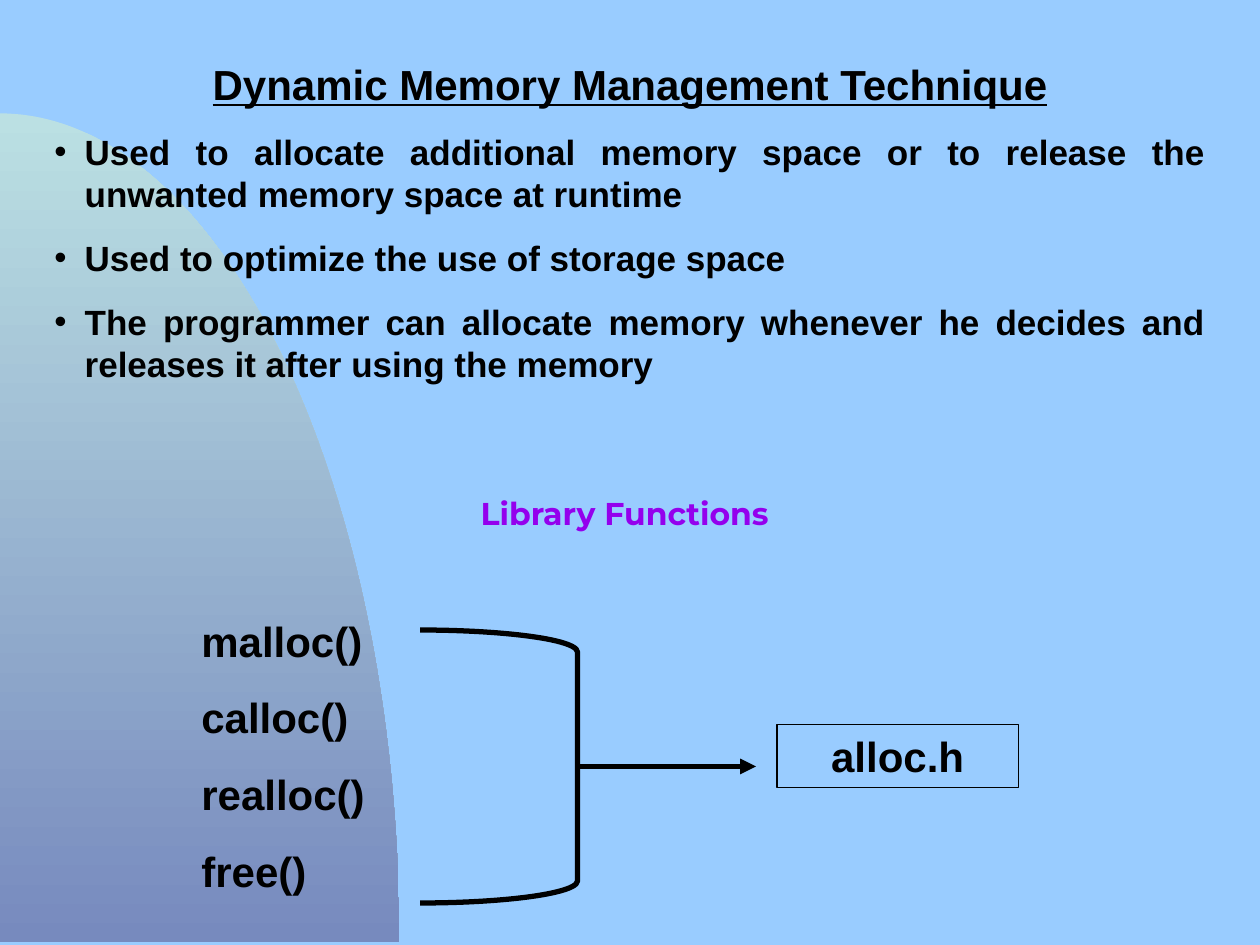
import math

from lxml import etree
from pptx import Presentation
from pptx.dml.color import RGBColor
from pptx.enum.shapes import MSO_CONNECTOR, MSO_SHAPE
from pptx.enum.text import MSO_ANCHOR, PP_ALIGN
from pptx.oxml.ns import qn
from pptx.util import Inches, Pt

WIDTH, HEIGHT = 10, 7.5
COLUMN, ROW = WIDTH / 120, HEIGHT / 90
LEFT, CENTER, JUSTIFY = PP_ALIGN.LEFT, PP_ALIGN.CENTER, PP_ALIGN.JUSTIFY
TOP = MSO_ANCHOR.TOP
RECTANGLE, BRACKET = MSO_SHAPE.RECTANGLE, MSO_SHAPE.RIGHT_BRACKET
STRAIGHT = MSO_CONNECTOR.STRAIGHT
BLACK, SKY, PURPLE = "000000", "99CCFF", "9400ED"
ARC_TOP, ARC_BOTTOM = "BBE0E3", "778ABE"
BULLET_INDENT = 0.24
LINE_HEIGHT = 1.2

USES = [
    "Used to allocate additional memory space or to release the unwanted memory space at runtime",
    "Used to optimize the use of storage space",
    "The programmer can allocate memory whenever he decides and releases it after using the memory",
]
FUNCTIONS = ["malloc()", "calloc()", "realloc()", "free()"]


def color(value):
    return RGBColor.from_string(value)


def grid(*cells):
    return [Inches(cell * (ROW if index % 2 else COLUMN)) for index, cell in enumerate(cells)]


def add_bullet(paragraph):
    properties = paragraph._p.get_or_add_pPr()
    properties.set("marL", str(Inches(BULLET_INDENT)))
    properties.set("indent", str(-Inches(BULLET_INDENT)))
    bullet_color = etree.SubElement(properties, qn("a:buClr"))
    etree.SubElement(bullet_color, qn("a:srgbClr"), val=BLACK)
    etree.SubElement(properties, qn("a:buFont"), typeface="Arial")
    etree.SubElement(properties, qn("a:buChar"), char="•")


def write(frame, text, size=24, font="Arial", fill=BLACK, align=LEFT,
          before=0, underline=False, bullet=False):
    first = frame.paragraphs[0]
    paragraph = frame.add_paragraph() if first.runs else first
    paragraph.alignment = align
    paragraph.space_before = Pt(before)
    paragraph.line_spacing = Pt(size * LINE_HEIGHT)
    if bullet:
        add_bullet(paragraph)
    run = paragraph.add_run()
    run.text = text
    run.font.name = font
    run.font.size = Pt(size)
    run.font.bold = True
    run.font.underline = underline
    run.font.color.rgb = color(fill)


def add_text_box(slide, cells):
    frame = slide.shapes.add_textbox(*grid(*cells)).text_frame
    frame.word_wrap = True
    return frame


def add_outline(slide, kind, cells, line_width):
    shape = slide.shapes.add_shape(kind, *grid(*cells))
    shape.shadow.inherit = False
    shape.fill.background()
    shape.line.color.rgb = color(BLACK)
    shape.line.width = Pt(line_width)
    return shape


def add_arrow(slide, cells, line_width):
    arrow = slide.shapes.add_connector(STRAIGHT, *grid(*cells))
    arrow.line.color.rgb = color(BLACK)
    arrow.line.width = Pt(line_width)
    etree.SubElement(arrow.line._get_or_add_ln(), qn("a:tailEnd"), type="triangle")
    etree.SubElement(arrow._element.spPr, qn("a:effectLst"))


def add_quarter_ellipse(slide, width, top, bottom, steps=90):
    angles = [math.pi / 2 * step / steps for step in range(steps + 1)]
    points = [(Inches(width * math.sin(angle)),
               Inches(bottom - (bottom - top) * math.cos(angle))) for angle in angles]
    builder = slide.shapes.build_freeform(0, Inches(bottom))
    builder.add_line_segments(points, close=True)
    shape = builder.convert_to_shape()
    shape.shadow.inherit = False
    shape.line.fill.background()
    shape.fill.gradient()
    shape.fill.gradient_angle = 270
    for stop, value in zip(shape.fill.gradient_stops, (ARC_TOP, ARC_BOTTOM)):
        stop.color.rgb = color(value)


def add_background(slide):
    slide.background.fill.solid()
    slide.background.fill.fore_color.rgb = color(SKY)
    add_quarter_ellipse(slide, 3.17, 0.9, 7.48)


def add_library_diagram(slide):
    functions = add_text_box(slide, (18, 58, 25, 28))
    for name in FUNCTIONS:
        write(functions, name, before=0 if name == FUNCTIONS[0] else 15)
    bracket = add_outline(slide, BRACKET, (40, 60, 15, 26), 3)
    bracket.adjustments[0] = 0.14
    add_arrow(slide, (55, 73, 72, 73), 3)
    header = add_outline(slide, RECTANGLE, (74, 69, 23, 6), 0.75).text_frame
    header.vertical_anchor = TOP
    write(header, "alloc.h", align=CENTER)


def add_explanation(slide):
    frame = add_text_box(slide, (4, 5, 112, 32))
    write(frame, "Dynamic Memory Management Technique", align=CENTER, underline=True)
    for use in USES:
        write(frame, use, size=20, align=JUSTIFY, before=12.5, bullet=True)


def main():
    presentation = Presentation()
    presentation.slide_width = Inches(WIDTH)
    presentation.slide_height = Inches(HEIGHT)
    slide = presentation.slides.add_slide(presentation.slide_layouts[6])
    add_background(slide)
    add_library_diagram(slide)
    heading = add_text_box(slide, (34, 46.5, 51, 8.5))
    write(heading, "Library Functions", size=18, font="Montserrat", fill=PURPLE, align=CENTER)
    add_explanation(slide)
    presentation.save("out.pptx")


if __name__ == "__main__":
    main()
